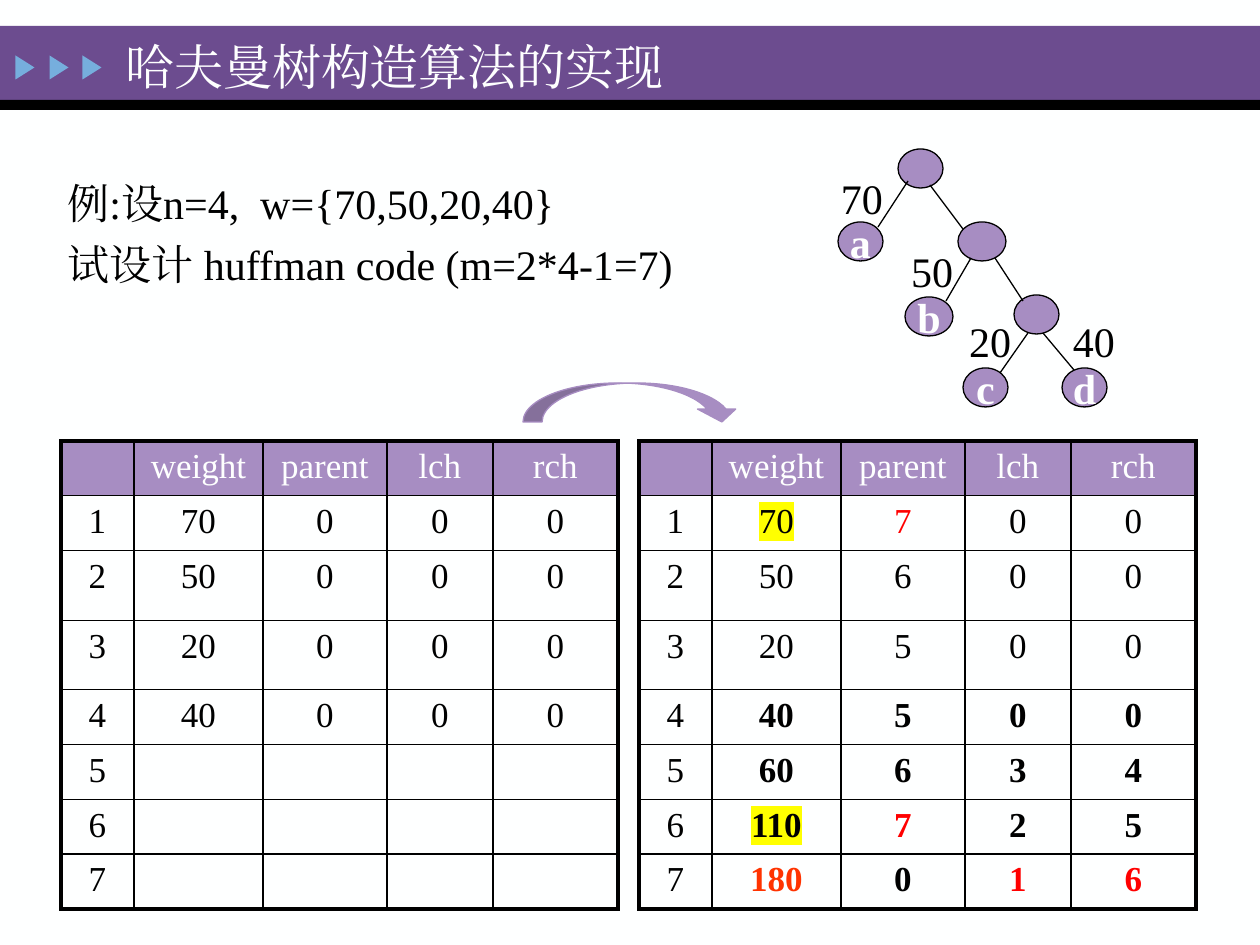
from dataclasses import dataclass

from lxml.etree import SubElement
from pptx import Presentation
from pptx.dml.color import RGBColor
from pptx.enum.shapes import MSO_CONNECTOR, MSO_SHAPE
from pptx.enum.text import MSO_ANCHOR, PP_ALIGN
from pptx.oxml import parse_xml
from pptx.oxml.ns import nsdecls, qn
from pptx.util import Emu, Pt


@dataclass(frozen=True)
class Theme:
    font: str = "Times New Roman"
    white: str = "FEFFFF"
    black: str = "000000"
    banner: str = "6C4C8F"
    accent: str = "76AEDD"
    lilac: str = "A78DC2"
    red: str = "FF0000"
    orange: str = "FF3300"
    yellow: str = "FFFF00"
    title: int = 28
    body: int = 24
    cell: int = 20
    thin: float = 0.75
    grid: float = 1
    frame: float = 2.25


T = Theme()
EMU_PER_PX = 914400 / 126

TITLE = "哈夫曼树构造算法的实现"
EXAMPLE = ["例:设n=4,  w={70,50,20,40}", "试设计 huffman code (m=2*4-1=7)"]

HEADER = ["", "weight", "parent", "lch", "rch"]
BEFORE = [[1, 70, 0, 0, 0], [2, 50, 0, 0, 0], [3, 20, 0, 0, 0], [4, 40, 0, 0, 0],
          [5, "", "", "", ""], [6, "", "", "", ""], [7, "", "", "", ""]]
AFTER = [[1, 70, 7, 0, 0], [2, 50, 6, 0, 0], [3, 20, 5, 0, 0], [4, 40, 5, 0, 0],
         [5, 60, 6, 3, 4], [6, 110, 7, 2, 5], [7, 180, 0, 1, 6]]
AFTER_MARKS = {
    (1, 1): dict(highlight=T.yellow), (1, 2): dict(color=T.red),
    (6, 1): dict(highlight=T.yellow), (6, 2): dict(color=T.red),
    (7, 1): dict(color=T.orange), (7, 3): dict(color=T.red), (7, 4): dict(color=T.red),
}
AFTER_BOLD_FROM = 4
COLS = [73, 129, 124, 106, 125]
ROWS = [54, 55, 70, 69, 55, 55, 54, 55]
TABLE_TOP = 441

ARROWS_X = [25, 59, 92]
NODE_H = 39
NODES = [("", 898, 149, 45), ("a", 838, 222, 45), ("", 958, 222, 48), ("b", 905, 297, 48),
         ("", 1014, 295, 45), ("c", 963, 368, 45), ("d", 1062, 368, 45)]
EDGES = [(908, 181, 878, 227), (930, 185, 963, 229), (971, 258, 946, 301),
         (995, 258, 1023, 301), (1028, 333, 1000, 373), (1043, 333, 1074, 370)]
WEIGHTS = [("70", 828, 166), ("50", 898, 239), ("20", 956, 309), ("40", 1060, 309)]


def px(*values):
    return [Emu(round(v * EMU_PER_PX)) for v in values]


def rgb(value):
    return RGBColor.from_string(value)


def put_text(tf, lines, size=T.body, color=T.black, bold=False, align=None, anchor=None,
             wrap=None, leading=None, gap=0, highlight=None):
    if anchor is not None:
        tf.vertical_anchor = anchor
    if wrap is not None:
        tf.word_wrap = wrap
    for i, line in enumerate(lines):
        p = tf.add_paragraph() if i else tf.paragraphs[0]
        p.alignment = align
        p.line_spacing = leading
        if i and gap:
            p.space_before = Pt(gap)
        r = p.add_run()
        r.text = line
        r.font.size = Pt(size)
        r.font.bold = bold
        r.font.name = T.font
        r.font.color.rgb = rgb(color)
        rPr = r.font._element
        if highlight:
            mark = parse_xml(f'<a:highlight {nsdecls("a")}><a:srgbClr val="{highlight}"/></a:highlight>')
            rPr.find(qn("a:solidFill")).addnext(mark)
        ea = parse_xml(f'<a:ea {nsdecls("a")} typeface="{T.font}"/>')
        rPr.find(qn("a:latin")).addnext(ea)


def add_shape(s, kind, box, fill=None, line=None):
    sp = s.shapes.add_shape(kind, *px(*box))
    sp.shadow.inherit = False
    if fill:
        sp.fill.solid()
        sp.fill.fore_color.rgb = rgb(fill)
    else:
        sp.fill.background()
    if line:
        sp.line.color.rgb = rgb(line)
        sp.line.width = Pt(T.thin)
    else:
        sp.line.fill.background()
    return sp


def add_edge(s, ends):
    c = s.shapes.add_connector(MSO_CONNECTOR.STRAIGHT, *px(*ends))
    c.line.color.rgb = rgb(T.black)
    c.line.width = Pt(T.thin)
    SubElement(c._element.spPr, qn("a:effectLst"))


def set_borders(cell, outer):
    tcPr = cell._tc.get_or_add_tcPr()
    for side in "LRTB":
        width = Pt(T.frame if side in outer else T.grid)
        tcPr.append(parse_xml(
            f'<a:ln{side} {nsdecls("a")} w="{width}"><a:solidFill>'
            f'<a:srgbClr val="{T.black}"/></a:solidFill></a:ln{side}>'))


def add_table(s, left, body, marks, bold_from):
    data = [HEADER] + body
    table = s.shapes.add_table(len(ROWS), len(COLS),
                               *px(left, TABLE_TOP, sum(COLS), sum(ROWS))).table
    table.first_row = table.horz_banding = False
    for col, width in zip(table.columns, px(*COLS)):
        col.width = width
    for row, height in zip(table.rows, px(*ROWS)):
        row.height = height
    for i, values in enumerate(data):
        for j, value in enumerate(values):
            cell = table.cell(i, j)
            edges = {"L": j == 0, "R": j == len(COLS) - 1, "T": i == 0, "B": i == len(ROWS) - 1}
            set_borders(cell, [side for side, on in edges.items() if on])
            cell.fill.solid()
            cell.fill.fore_color.rgb = rgb(T.white if i else T.lilac)
            if value != "":
                style = dict(color=T.black if i else T.white, bold=i >= bold_from and j > 0)
                style.update(marks.get((i, j), {}))
                put_text(cell.text_frame, [str(value)], size=T.cell, align=PP_ALIGN.CENTER, **style)


def main():
    prs = Presentation()
    prs.slide_width, prs.slide_height = px(1260, 945)
    s = prs.slides.add_slide(prs.slide_layouts[6])
    s.background.fill.solid()
    s.background.fill.fore_color.rgb = rgb(T.white)

    add_shape(s, MSO_SHAPE.RECTANGLE, (0, 26, 1260, 74), T.banner)
    add_shape(s, MSO_SHAPE.RECTANGLE, (0, 100, 1260, 10), T.black)
    for x in ARROWS_X:
        sp = add_shape(s, MSO_SHAPE.ISOSCELES_TRIANGLE, (x - 12, 58, 24, 19), T.accent)
        sp.rotation = 90
    title = s.shapes.add_textbox(*px(113, 30, 907, 71))
    put_text(title.text_frame, [TITLE], size=T.title, color=T.white,
             anchor=MSO_ANCHOR.MIDDLE, wrap=True)

    example = add_shape(s, MSO_SHAPE.ROUNDED_RECTANGLE, (50, 176, 648, 132))
    example.adjustments[0] = 0.13
    put_text(example.text_frame, EXAMPLE, align=PP_ALIGN.LEFT, anchor=MSO_ANCHOR.TOP,
             wrap=True, leading=0.8, gap=12)

    add_table(s, 61, BEFORE, {}, len(ROWS))
    add_table(s, 639, AFTER, AFTER_MARKS, AFTER_BOLD_FROM)

    centred = dict(align=PP_ALIGN.CENTER, anchor=MSO_ANCHOR.MIDDLE, wrap=False)
    for name, x, y, w in NODES:
        node = add_shape(s, MSO_SHAPE.OVAL, (x, y, w, NODE_H), T.lilac, T.black)
        if name:
            put_text(node.text_frame, [name], color=T.white, bold=True, **centred)
    for ends in EDGES:
        add_edge(s, ends)
    for weight, x, y in WEIGHTS:
        label = s.shapes.add_textbox(*px(x, y, 68, 64))
        put_text(label.text_frame, [weight], **centred)

    swoosh = add_shape(s, MSO_SHAPE.CURVED_DOWN_ARROW, (523, 383, 218, 39), T.lilac, T.lilac)
    for i, value in enumerate((0.49, 0.98, 0.33)):
        swoosh.adjustments[i] = value

    prs.save("out.pptx")


if __name__ == "__main__":
    main()
